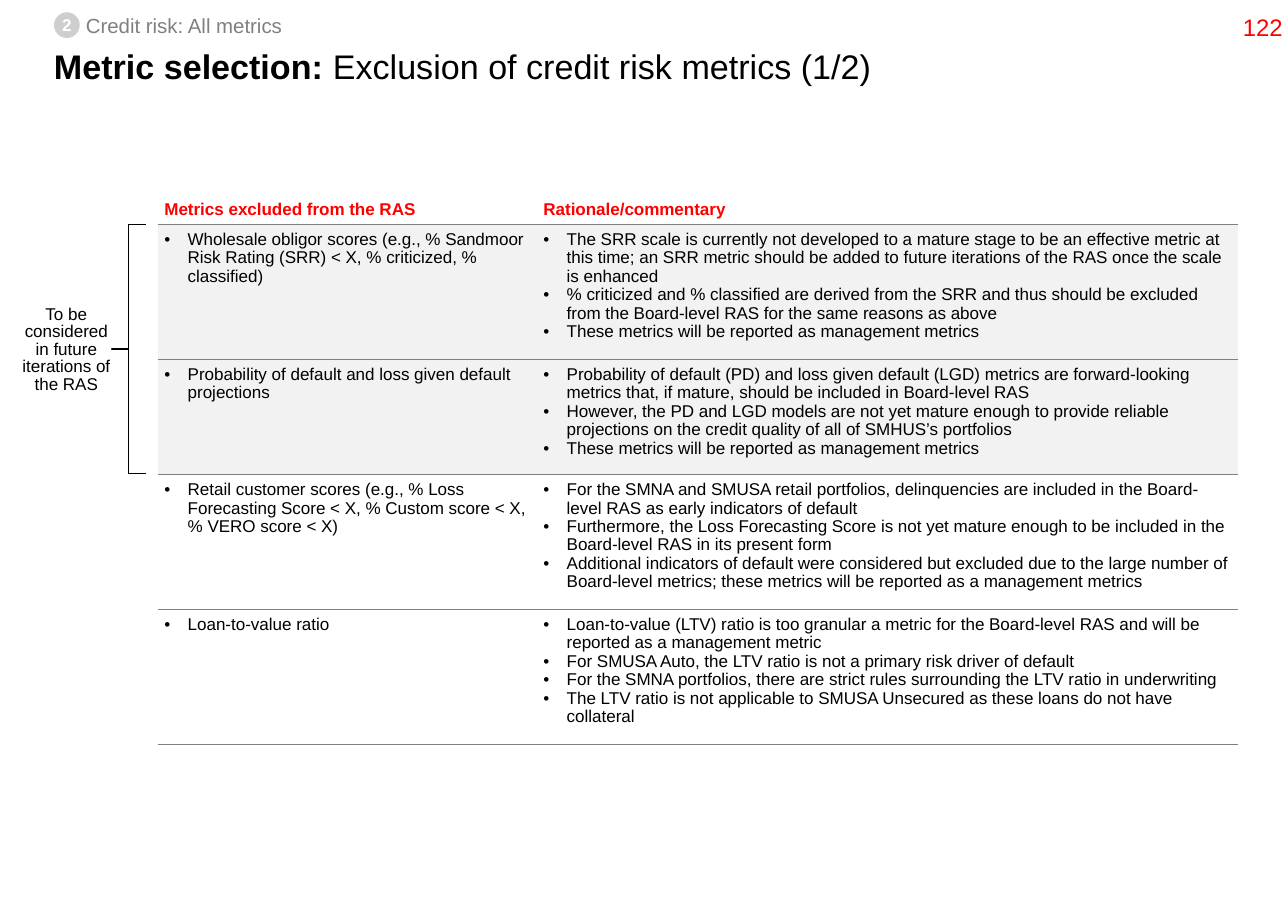
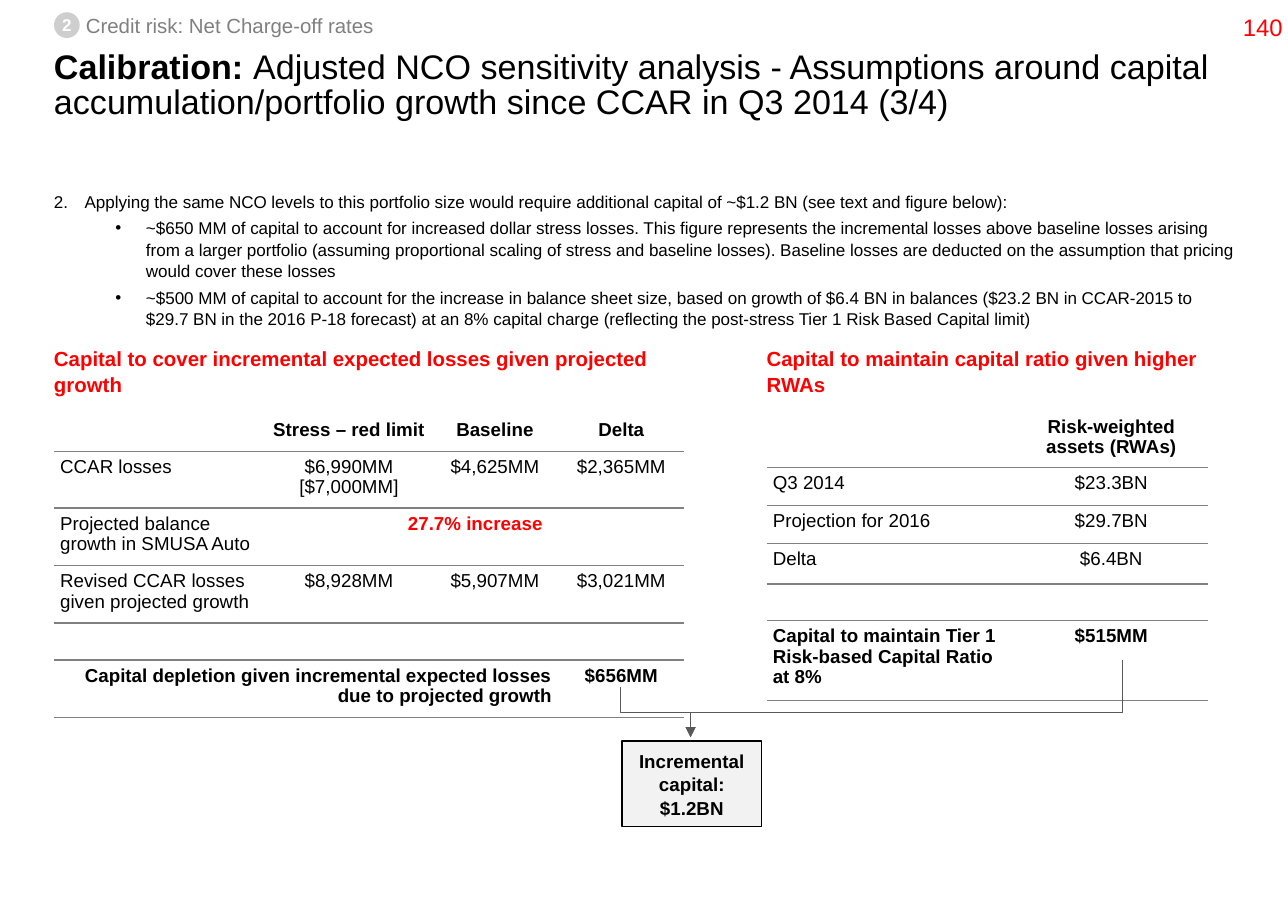
from lxml import etree
from pptx import Presentation
from pptx.dml.color import RGBColor
from pptx.enum.shapes import MSO_CONNECTOR, MSO_SHAPE
from pptx.enum.text import MSO_ANCHOR, PP_ALIGN
from pptx.oxml.ns import qn
from pptx.util import Inches, Pt

BLACK = RGBColor(0, 0, 0)
WHITE = RGBColor(255, 255, 255)
RED = RGBColor(255, 0, 0)
GRAY = RGBColor(0x80, 0x80, 0x80)
BADGE = RGBColor(0xCE, 0xCE, 0xCE)
PALE = RGBColor(0xF2, 0xF2, 0xF2)
ARROW = RGBColor(0x59, 0x59, 0x59)
LEFT, CENTER, RIGHT = PP_ALIGN.LEFT, PP_ALIGN.CENTER, PP_ALIGN.RIGHT
TOP, MIDDLE, BOTTOM = MSO_ANCHOR.TOP, MSO_ANCHOR.MIDDLE, MSO_ANCHOR.BOTTOM
ELBOW = MSO_CONNECTOR.ELBOW
OVAL, RECT, BRACE = MSO_SHAPE.OVAL, MSO_SHAPE.RECTANGLE, MSO_SHAPE.RIGHT_BRACE
SLIDE_W, SLIDE_H = 10.5, 7.5
MARGIN, CONTENT_W, CONTENT_TOP = 0.44, 9.65, 1.55
TIGHT, TABLE_SPACING, LOOSE = 0.86, 0.97, 1.05
PLAIN_TABLE = "{2D5ABB26-0587-4C30-8999-92F81FD0307C}"
REPORTED = "These metrics will be reported as management metrics"

EXCLUSIONS = [
    (["Wholesale obligor scores (e.g., % Sandmoor Risk Rating (SRR) < X, % criticized, % classified)"],
     ["The SRR scale is currently not developed to a mature stage to be an effective metric at this time; "
      "an SRR metric should be added to future iterations of the RAS once the scale is enhanced",
      "% criticized and % classified are derived from the SRR and thus should be excluded from the "
      "Board-level RAS for the same reasons as above",
      REPORTED]),
    (["Probability of default and loss given default projections"],
     ["Probability of default (PD) and loss given default (LGD) metrics are forward-looking metrics that, "
      "if mature, should be included in Board-level RAS",
      "However, the PD and LGD models are not yet mature enough to provide reliable projections on the "
      "credit quality of all of SMHUS’s portfolios",
      REPORTED]),
    (["Retail customer scores (e.g., % Loss Forecasting Score < X, % Custom score < X, % VERO score < X)"],
     ["For the SMNA and SMUSA retail portfolios, delinquencies are included in the Board-level RAS as "
      "early indicators of default",
      "Furthermore, the Loss Forecasting Score is not yet mature enough to be included in the Board-level "
      "RAS in its present form",
      "Additional indicators of default were considered but excluded due to the large number of "
      "Board-level metrics; these metrics will be reported as a management metrics"]),
    (["Loan-to-value ratio"],
     ["Loan-to-value (LTV) ratio is too granular a metric for the Board-level RAS and will be reported as "
      "a management metric",
      "For SMUSA Auto, the LTV ratio is not a primary risk driver of default",
      "For the SMNA portfolios, there are strict rules surrounding the LTV ratio in underwriting",
      "The LTV ratio is not applicable to SMUSA Unsecured as these loans do not have collateral"]),
]
CAPITAL_NEED = "Applying the same NCO levels to this portfolio size would require additional capital of " \
    "~$1.2 BN (see text and figure below):"
CAPITAL_PARTS = [
    "~$650 MM of capital to account for increased dollar stress losses. This figure represents the "
    "incremental losses above baseline losses arising from a larger portfolio (assuming proportional "
    "scaling of stress and baseline losses). Baseline losses are deducted on the assumption that pricing "
    "would cover these losses",
    "~$500 MM of capital to account for the increase in balance sheet size, based on growth of $6.4 BN in "
    "balances ($23.2 BN in CCAR-2015 to $29.7\u00a0BN in the 2016 P-18 forecast) at an 8% capital charge "
    "(reflecting the post-stress Tier 1 Risk Based Capital limit)",
]
LOSSES = [
    ["", "Stress – red limit", "Baseline", "Delta"],
    ["CCAR losses", ["$6,990MM", "[$7,000MM]"], "$4,625MM", "$2,365MM"],
    ["Projected balance growth in SMUSA Auto", "27.7% increase", "", ""],
    ["Revised CCAR losses given projected growth", "$8,928MM", "$5,907MM", "$3,021MM"],
    ["", "", "", ""],
    ["Capital depletion given incremental expected losses due to projected growth", "", "", "$656MM"],
]
ASSETS = [
    ["", "Risk-weighted assets (RWAs)"],
    ["Q3 2014", "$23.3BN"],
    ["Projection for 2016", "$29.7BN"],
    ["Delta", "$6.4BN"],
    ["", ""],
    ["Capital to maintain Tier 1 Risk-based Capital Ratio at 8%", "$515MM"],
]


def add_xml(parent, tag, **attributes):
    """Append a drawing element to a parent."""
    return etree.SubElement(parent, qn(tag), attributes)


def write(frame, text, size=10, color=BLACK, bold=False, align=LEFT, spacing=LOOSE,
          after=0, bullet=None, start=None, indent=0.0, hanging=0.0):
    """Add one paragraph of a string or of (text, bold) runs to a frame."""
    first = frame.paragraphs[0]
    paragraph = frame.add_paragraph() if first.runs else first
    properties = paragraph._p.get_or_add_pPr()
    if bullet or start:
        properties.set("marL", str(Inches(indent)))
        properties.set("indent", str(-Inches(hanging)))
    if bullet:
        add_xml(properties, "a:buFont", typeface="Arial")
        add_xml(properties, "a:buChar", char=bullet)
    elif start:
        add_xml(properties, "a:buAutoNum", type="arabicPeriod", startAt=str(start))
    paragraph.alignment, paragraph.line_spacing = align, spacing
    paragraph.space_after = Pt(after)
    for words, weight in [(text, bold)] if isinstance(text, str) else text:
        run = paragraph.add_run()
        run.text = words
        run.font.name, run.font.size, run.font.bold = "Arial", Pt(size), weight
        run.font.color.rgb = color


def set_frame(frame, inset=(0, 0), anchor=TOP, wrap=True):
    """Set the insets, anchor and wrapping of a text frame."""
    frame.margin_left = frame.margin_right = Inches(inset[0])
    frame.margin_top = frame.margin_bottom = Inches(inset[1])
    frame.vertical_anchor, frame.word_wrap = anchor, wrap


def add_text(slide, box, text, inset=(0, 0), anchor=TOP, wrap=True, **style):
    """Place a text box with one paragraph and return its frame."""
    frame = slide.shapes.add_textbox(*map(Inches, box)).text_frame
    set_frame(frame, inset, anchor, wrap)
    write(frame, text, **style)
    return frame


def add_figure(slide, preset, box, fill=None, line=None):
    """Place a flat preset shape."""
    figure = slide.shapes.add_shape(preset, *map(Inches, box))
    figure.shadow.inherit = False
    if fill is None:
        figure.fill.background()
    else:
        figure.fill.solid()
        figure.fill.fore_color.rgb = fill
    if line is None:
        figure.line.fill.background()
    else:
        figure.line.color.rgb, figure.line.width = line, Pt(0.75)
    return figure


def add_frame(slide, section, number, topic, headline):
    """Place the section badge, page number and title."""
    badge = add_figure(slide, OVAL, (MARGIN, 0.1, 0.21, 0.21), fill=BADGE)
    set_frame(badge.text_frame, anchor=MIDDLE, wrap=False)
    write(badge.text_frame, "2", color=WHITE, bold=True, align=CENTER, spacing=1.0)
    add_text(slide, (0.7, 0.11, 2.4, 0.2), section, wrap=False, size=12, color=GRAY, spacing=1.0)
    add_text(slide, (SLIDE_W - 0.41, 0, 0.41, 0.42), number, anchor=MIDDLE, wrap=False,
             size=14, color=RED, align=CENTER)
    add_text(slide, (MARGIN, 0.42, 9.63, 0.8), [(topic + " ", True), (headline, False)],
             size=20, spacing=TIGHT)


def rule_cell(cell, width, top):
    """Draw the horizontal rules of a cell and no vertical ones."""
    properties = cell._tc.get_or_add_tcPr()
    for place, (side, shown) in enumerate([("L", False), ("R", False), ("T", top), ("B", True)]):
        edge = etree.Element(qn("a:ln" + side), w=str(Pt(width) if shown else 0))
        fill = add_xml(edge, "a:solidFill" if shown else "a:noFill")
        if shown:
            add_xml(fill, "a:srgbClr", val=str(GRAY))
        properties.insert(place, edge)


def add_ruled_table(slide, left, top, widths, heights, rule):
    """Place an unstyled table with horizontal rules under every row."""
    holder = slide.shapes.add_table(len(heights), len(widths), *map(
        Inches, (left, top, sum(widths), sum(heights))))
    table = holder.table
    table.first_row = table.horz_banding = False
    table._tbl.tblPr.find(qn("a:tableStyleId")).text = PLAIN_TABLE
    for column, width in zip(table.columns, widths):
        column.width = Inches(width)
    for index, (row, height) in enumerate(zip(table.rows, heights)):
        row.height = Inches(height)
        for cell in row.cells:
            cell.fill.background()
            rule_cell(cell, rule, index > 0)
    return table


def fill_cell(cell, texts, anchor=TOP, **style):
    """Write one or more paragraphs in a cell."""
    texts = [texts] if isinstance(texts, str) else texts
    cell.margin_left = cell.margin_right = Inches(0.05)
    cell.margin_top = cell.margin_bottom = Inches(0.05 if texts[0] else 0)
    cell.vertical_anchor = anchor
    for text in texts:
        write(cell.text_frame, text, **{"spacing": TABLE_SPACING, **style, **({} if text else {"size": 6})})


def add_exclusions(slide, left, top):
    """Place the table of excluded metrics, the first two rows shaded."""
    table = add_ruled_table(slide, left, top, (3.09, 5.71), (0.28, 1.1, 0.94, 1.1, 1.1), 0.75)
    for column, heading in enumerate(("Metrics excluded from the RAS", "Rationale/commentary")):
        fill_cell(table.cell(0, column), heading, anchor=BOTTOM, color=RED, bold=True, spacing=TIGHT)
    for row, pair in enumerate(EXCLUSIONS, 1):
        for column, points in enumerate(pair):
            cell = table.cell(row, column)
            cell.fill.solid()
            cell.fill.fore_color.rgb = PALE if row < 3 else WHITE
            fill_cell(cell, points, bullet="•", indent=0.19, hanging=0.19)


def add_future_note(slide, left, top, height):
    """Place the bracket and the note to its left."""
    bracket = add_figure(slide, BRACE, (left + 0.86, top, 0.28, height), line=BLACK)
    bracket.adjustments[0], bracket.adjustments[1] = 0, 0.5
    bracket.rotation = 180
    add_text(slide, (left, top + height / 2 - 0.4, 0.98, 0.82),
             "To be considered in future iterations of the RAS",
             inset=(0.1, 0.05), align=CENTER, spacing=TIGHT)


def add_capital_table(slide, box, heading, top, widths, heights, rows, spans=(), emphasis=None, total=LEFT):
    """Place a red heading and its table, with bold first and last rows."""
    add_text(slide, box, heading, size=12, color=RED, bold=True)
    table = add_ruled_table(slide, box[0], top, widths, heights, 1)
    for row, first, last in spans:
        table.cell(row, first).merge(table.cell(row, last))
    end = len(rows) - 1
    for row, texts in enumerate(rows):
        for column, text in enumerate(texts):
            cell = table.cell(row, column)
            if cell.is_spanned:
                continue
            marked = (row, column) == emphasis
            label_align = total if row == end else LEFT
            fill_cell(cell, text, size=11, color=RED if marked else BLACK,
                      bold=marked or row in (0, end), align=CENTER if column else label_align)


def add_bent_arrow(slide, start, end, bend):
    """Draw an arrow that goes down, across and down again."""
    (x1, y1), (x2, y2) = start, end
    across, down = abs(x2 - x1), y2 - y1
    left, top = (x1 + x2 - down) / 2, (y1 + y2 - across) / 2
    arrow = slide.shapes.add_connector(ELBOW, *map(Inches, (left, top, left + down, top + across)))
    arrow.line.color.rgb, arrow.line.width = ARROW, Pt(0.75)
    properties = arrow._element.spPr
    rightward = x2 > x1
    turn = properties.find(qn("a:xfrm"))
    turn.set("rot", str((270 if rightward else 90) * 60000))
    if rightward:
        turn.set("flipH", "1")
    guides = properties.find(qn("a:prstGeom")).find(qn("a:avLst"))
    add_xml(guides, "a:gd", name="adj1", fmla=f"val {round(bend * 100000)}")
    add_xml(properties.find(qn("a:ln")), "a:tailEnd", type="triangle")
    add_xml(properties, "a:effectLst")


def add_total(slide, box):
    """Place the total box and the arrows that lead to it."""
    total = add_figure(slide, RECT, box, fill=PALE, line=BLACK)
    set_frame(total.text_frame, (0.1, 0.05), MIDDLE)
    write(total.text_frame, "Incremental capital: $1.2BN", size=11, bold=True, align=CENTER)
    tip = (box[0] + 0.56, box[1] - 0.03)
    add_bent_arrow(slide, (5.06, 5.6), tip, 0.51)
    add_bent_arrow(slide, (9.15, 5.38), tip, 0.68)


def build_exclusion_slide(slide):
    """Build the slide on excluded metrics."""
    add_frame(slide, "Credit risk: All metrics", "122", "Metric selection:",
              "Exclusion of credit risk metrics (1/2)")
    add_exclusions(slide, 1.29, CONTENT_TOP)
    add_future_note(slide, 0.05, CONTENT_TOP + 0.28, 2.03)


def build_calibration_slide(slide):
    """Build the slide on capital sensitivity."""
    add_frame(slide, "Credit risk: Net Charge-off rates", "140", "Calibration:",
              "Adjusted NCO sensitivity analysis - Assumptions around capital "
              "accumulation/portfolio growth since CCAR in Q3 2014 (3/4)")
    reasons = add_text(slide, (MARGIN, CONTENT_TOP, CONTENT_W, 1.2), CAPITAL_NEED,
                       start=2, indent=0.25, hanging=0.25, after=3)
    for part in CAPITAL_PARTS:
        write(reasons, part, bullet="•", indent=0.75, hanging=0.25, after=3)
    add_capital_table(slide, (MARGIN, 2.81, 5.12, 0.29),
                      "Capital to cover incremental expected losses given projected growth",
                      3.38, (1.73, 1.35, 1.03, 1.03), (0.28, 0.46, 0.47, 0.47, 0.2, 0.47), LOSSES,
                      spans=((2, 1, 3), (5, 0, 2)), emphasis=(2, 1), total=RIGHT)
    add_capital_table(slide, (6.25, 2.81, 3.88, 0.29),
                      "Capital to maintain capital ratio given higher RWAs",
                      3.35, (2.02, 1.58), (0.46, 0.31, 0.31, 0.33, 0.2, 0.65), ASSETS)
    add_total(slide, (5.07, 6.04, 1.14, 0.7))


def main():
    """Build and save the presentation."""
    deck = Presentation()
    deck.slide_width, deck.slide_height = Inches(SLIDE_W), Inches(SLIDE_H)
    for build in (build_exclusion_slide, build_calibration_slide):
        build(deck.slides.add_slide(deck.slide_layouts[6]))
    deck.save("out.pptx")


if __name__ == "__main__":
    main()
